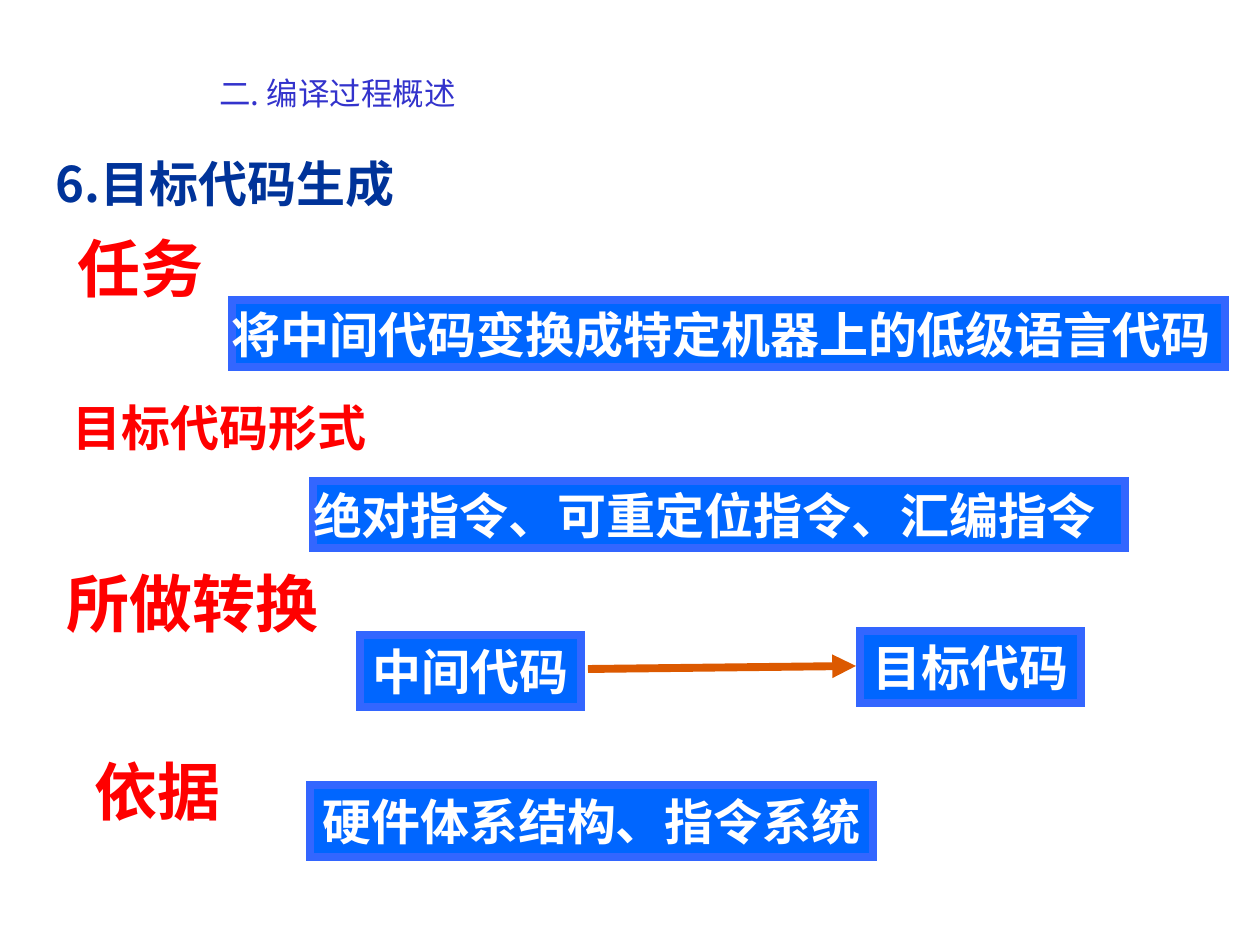
from dataclasses import dataclass

import pptx
import pptx.dml.color
import pptx.enum.shapes
import pptx.enum.text
import pptx.oxml
import pptx.oxml.ns
import pptx.util

FONT = "Noto Sans CJK SC"
SCALE = 914400 / 126
ANCHOR = pptx.enum.text.MSO_ANCHOR
ALIGN = pptx.enum.text.PP_ALIGN
FIT = pptx.enum.text.MSO_AUTO_SIZE
RED, WHITE, BLUE, EDGE, ORANGE = "FF0000", "FFFFFF", "0066FF", "3366FF", "DC5900"
BORDER = 4.5
PAD = (12, 6)


@dataclass
class Label:
    text: str
    left: int
    top: int
    width: int
    height: int
    size: int = 28
    color: str = RED
    bold: bool = True
    wrap: bool = False
    pad: tuple[int, int] = PAD
    anchor: int = ANCHOR.MIDDLE
    align: int = ALIGN.CENTER
    fit: int = FIT.SHAPE_TO_FIT_TEXT


@dataclass
class Box(Label):
    color: str = WHITE
    fit: int = FIT.NONE


@dataclass
class Banner(Box):
    """A box whose text starts right at its left edge."""
    pad: tuple[int, int] = (0, 0)
    align: int = ALIGN.LEFT


ITEMS = [
    Label("二. 编译过程概述", 40, 68, 595, 63, 18, "3333CC", bold=False,
          anchor=ANCHOR.TOP, fit=FIT.NONE),
    Label("6.目标代码生成", 44, 148, 415, 72, 28, "003399", wrap=True,
          anchor=ANCHOR.TOP, align=ALIGN.LEFT),
    Label("任务", 65, 223, 151, 88, 36),
    Label("所做转换", 54, 558, 277, 88, 36),
    Label("依据", 82, 746, 151, 88, 36),
    Label("目标代码形式", 60, 391, 319, 72),
    Banner("将中间代码变换成特定机器上的低级语言代码", 232, 300, 993, 67),
    Banner("绝对指令、可重定位指令、汇编指令", 313, 481, 812, 67),
    Box("中间代码", 360, 635, 221, 72),
    Box("目标代码", 860, 631, 221, 72),
    Box("硬件体系结构、指令系统", 310, 785, 563, 72),
]


def px(n: int) -> pptx.util.Emu:
    return pptx.util.Emu(round(n * SCALE))


def rgb(code: str) -> pptx.dml.color.RGBColor:
    return pptx.dml.color.RGBColor.from_string(code)


def node(tag: str, attrs: str = ""):
    """Make an empty DrawingML element."""
    return pptx.oxml.parse_xml(f'<a:{tag} {pptx.oxml.ns.nsdecls("a")} {attrs}/>')


def assign(target: object, values: dict) -> None:
    for name, value in values.items():
        setattr(target, name, value)


def stroke(line, color: str, tag: str, attrs: str) -> None:
    """Colour a line and add its join or arrowhead."""
    line.color.rgb = rgb(color)
    line.width = pptx.util.Pt(BORDER)
    line._get_or_add_ln().append(node(tag, attrs))


def write(frame, item: Label) -> None:
    side, end = map(px, item.pad)
    assign(frame, {
        "margin_left": side, "margin_right": side,
        "margin_top": end, "margin_bottom": end,
        "word_wrap": item.wrap, "auto_size": item.fit,
        "vertical_anchor": item.anchor,
    })
    para = frame.paragraphs[0]
    para.alignment = item.align
    run = para.add_run()
    run.text = item.text
    assign(run.font, {
        "name": FONT, "size": pptx.util.Pt(item.size), "bold": item.bold,
    })
    run.font.color.rgb = rgb(item.color)
    latin = run.font._element.find(pptx.oxml.ns.qn("a:latin"))
    latin.addnext(node("ea", f'typeface="{FONT}"'))


def draw(shapes, item: Label) -> None:
    area = [px(n) for n in (item.left, item.top, item.width, item.height)]
    if isinstance(item, Box):
        kind = pptx.enum.shapes.MSO_SHAPE.RECTANGLE
        shape = shapes.add_shape(kind, *area)
        shape.shadow.inherit = False
        shape.fill.solid()
        shape.fill.fore_color.rgb = rgb(BLUE)
        stroke(shape.line, EDGE, "miter", 'lim="800000"')
    else:
        shape = shapes.add_textbox(*area)
    write(shape.text_frame, item)


def arrow(shapes, start: tuple[int, int], stop: tuple[int, int]) -> None:
    kind = pptx.enum.shapes.MSO_CONNECTOR.STRAIGHT
    link = shapes.add_connector(kind, *map(px, start + stop))
    stroke(link.line, ORANGE, "tailEnd", 'type="triangle"')
    link._element.spPr.append(node("effectLst"))


def main() -> None:
    deck = pptx.Presentation()
    assign(deck, {"slide_width": px(1260), "slide_height": px(945)})
    slide = deck.slides.add_slide(deck.slide_layouts[6])
    for item in ITEMS:
        draw(slide.shapes, item)
    arrow(slide.shapes, (588, 669), (856, 666))
    deck.save("out.pptx")


if __name__ == "__main__":
    main()
